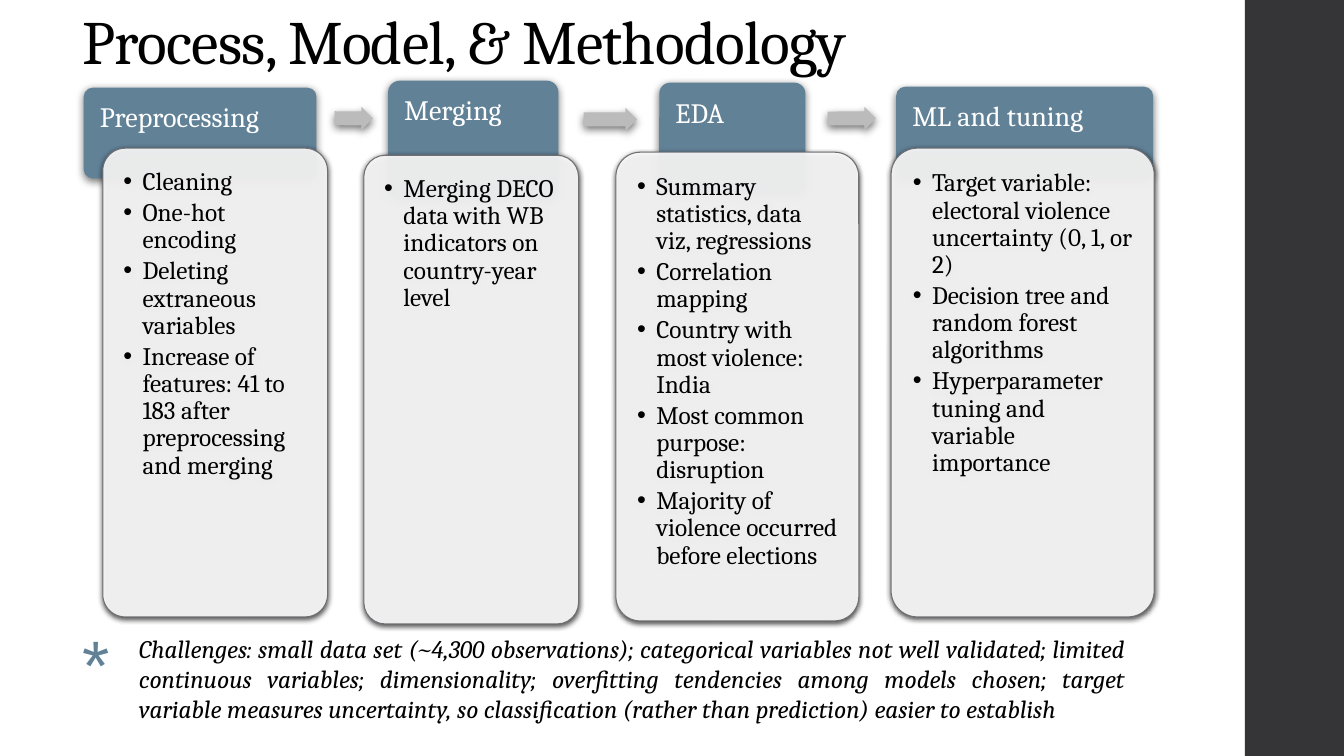
from dataclasses import dataclass

import pptx
import pptx.dml.color
import pptx.enum.shapes
import pptx.enum.text
import pptx.oxml
import pptx.oxml.ns
import pptx.util

SHAPE = pptx.enum.shapes.MSO_SHAPE
ANCHOR = pptx.enum.text.MSO_ANCHOR
ALIGN = pptx.enum.text.PP_ALIGN
GRID_CELL = 0.1  # inches per column and per row
SLIDE_COLUMNS, SLIDE_ROWS = 133.33, 75
BODY_ROWS = 46.5
CORNER = 0.1
CORNER_INSET = 0.29  # share of the corner radius that a rounded shape adds to its insets


@dataclass(frozen=True)
class Theme:
    font: str = "Cambria"
    symbol_font: str = "Arial"
    ink: str = "000000"
    paper: str = "FFFFFF"
    accent: str = "618197"
    arrow: str = "BBBBBC"
    outline: str = "6F6F74"
    band: str = "353537"
    title_size: float = 44
    heading_size: float = 20
    body_size: float = 18
    symbol_size: float = 50


@dataclass(frozen=True)
class Box:
    """Place on the grid, in columns and rows."""
    left: float
    top: float
    width: float
    height: float


@dataclass(frozen=True)
class Shadow:
    opacity: int
    blur: float
    distance: float


@dataclass(frozen=True)
class Stage:
    heading: str
    header: Box
    body: Box
    points: tuple[str, ...]


@dataclass(frozen=True)
class Arrow:
    box: Box
    rotation: float


THEME = Theme()
SOFT_SHADOW = Shadow(55, 6, 2)
CARD_SHADOW = Shadow(75, 4, 1.2)

STAGES = (
    Stage("Preprocessing", Box(8.3, 8.7, 23.1, 9), Box(10.2, 14.7, 22.3, BODY_ROWS),
          ("Cleaning", "One-hot encoding", "Deleting extraneous variables",
           "Increase of features: 41 to 183 after preprocessing and merging")),
    Stage("Merging", Box(38.5, 8, 16.9, 11.7), Box(36.1, 15.4, 21.3, BODY_ROWS),
          ("Merging DECO data with WB indicators on country-year level",)),
    Stage("EDA", Box(65.4, 8.2, 14.5, 10.9), Box(61.1, 15.1, 24.1, BODY_ROWS),
          ("Summary statistics, data viz, regressions", "Correlation mapping",
           "Country with most violence: India", "Most common purpose: disruption",
           "Majority of violence occurred before elections")),
    Stage("ML and tuning", Box(88.9, 8.6, 25.5, 9.1), Box(88.4, 14.7, 26.1, BODY_ROWS),
          ("Target variable: electoral violence uncertainty (0, 1, or 2)",
           "Decision tree and random forest algorithms",
           "Hyperparameter tuning and variable importance")),
)
ARROWS = (
    Arrow(Box(33.2, 10.6, 3.8, 2.3), 0.5),
    Arrow(Box(57.9, 10.7, 5.3, 2.3), 359.9),
    Arrow(Box(82.1, 10.6, 4.8, 2.3), 359.7),
)
CHALLENGES = (
    "Challenges: small data set (~4,300 observations); categorical variables not well "
    "validated; limited continuous variables; dimensionality; overfitting tendencies among "
    "models chosen; target variable measures uncertainty, so classification (rather than "
    "prediction) easier to establish"
)


def grid(cells: float) -> int:
    return pptx.util.Inches(cells * GRID_CELL)


def place(box: Box) -> tuple[int, int, int, int]:
    return grid(box.left), grid(box.top), grid(box.width), grid(box.height)


def color(value: str) -> pptx.dml.color.RGBColor:
    return pptx.dml.color.RGBColor.from_string(value)


def drawing_element(xml: str):
    """Parse one element of the DrawingML namespace."""
    tag, rest = xml[1:].split(" ", 1)
    return pptx.oxml.parse_xml(f"<{tag} {pptx.oxml.ns.nsdecls('a')} {rest}")


def add_shadow(shape, shadow: Shadow) -> None:
    blur, distance = pptx.util.Pt(shadow.blur), pptx.util.Pt(shadow.distance)
    effects = shape._element.spPr.find(pptx.oxml.ns.qn("a:effectLst"))
    effects.append(drawing_element(
        f'<a:outerShdw blurRad="{blur}" dist="{distance}" dir="5400000" algn="ctr" '
        f'rotWithShape="0"><a:srgbClr val="{THEME.ink}">'
        f'<a:alpha val="{shadow.opacity * 1000}"/></a:srgbClr></a:outerShdw>'))


def add_block(slide, kind, box: Box, fill: str, *, line: str | None = None,
              opacity: int = 100, shadow: Shadow | None = None,
              adjustments: tuple[float, ...] = ()):
    shape = slide.shapes.add_shape(kind, *place(box))
    for index, value in enumerate(adjustments):
        shape.adjustments[index] = value
    shape.fill.solid()
    shape.fill.fore_color.rgb = color(fill)
    if opacity < 100:
        fill_color = shape._element.spPr.find(".//" + pptx.oxml.ns.qn("a:srgbClr"))
        fill_color.append(drawing_element(f'<a:alpha val="{opacity * 1000}"/>'))
    if line:
        shape.line.color.rgb = color(line)
        shape.line.width = pptx.util.Pt(0.75)
    else:
        shape.line.fill.background()
    shape.shadow.inherit = False
    if shadow:
        add_shadow(shape, shadow)
    return shape


def write_text(shape, *lines: str, size: float, ink: str = THEME.ink, font: str = THEME.font,
               italic: bool = False, align=ALIGN.LEFT, anchor=ANCHOR.TOP,
               spacing: float = 1.0, after: float = 0, bullet: bool = False,
               tracking: float = 0,
               insets: tuple[float, float, float, float] = (0.1, 0.05, 0.1, 0.05)) -> None:
    """Fill a shape with one paragraph per line; insets are left, top, right, bottom in inches."""
    frame = shape.text_frame
    frame.word_wrap = True
    frame.auto_size = pptx.enum.text.MSO_AUTO_SIZE.NONE
    frame.vertical_anchor = anchor
    (frame.margin_left, frame.margin_top,
     frame.margin_right, frame.margin_bottom) = map(pptx.util.Inches, insets)
    for index, line in enumerate(lines):
        paragraph = frame.add_paragraph() if index else frame.paragraphs[0]
        paragraph.alignment = align
        paragraph.line_spacing = spacing
        paragraph.space_before = pptx.util.Pt(0)
        paragraph.space_after = pptx.util.Pt(after)
        run = paragraph.add_run()
        run.text = line
        run.font.name = font
        run.font.size = pptx.util.Pt(size)
        run.font.italic = italic
        run.font.color.rgb = color(ink)
        if tracking:
            run._r.get_or_add_rPr().set("spc", str(round(tracking * 100)))
        if bullet:
            properties = paragraph._p.get_or_add_pPr()
            indent = pptx.util.Inches(0.19)
            properties.set("marL", str(indent))
            properties.set("indent", str(-indent))
            properties.append(drawing_element(f'<a:buFont typeface="{THEME.symbol_font}"/>'))
            properties.append(drawing_element('<a:buChar char="•"/>'))


def draw_stage(slide, stage: Stage) -> None:
    header = add_block(slide, SHAPE.ROUNDED_RECTANGLE, stage.header, THEME.accent,
                       shadow=SOFT_SHADOW, adjustments=(CORNER,))
    shorter_side = min(stage.header.width, stage.header.height) * GRID_CELL
    inset = 0.16 - CORNER_INSET * CORNER * shorter_side
    write_text(header, stage.heading, size=THEME.heading_size, ink=THEME.paper,
               spacing=0.9, insets=(inset, inset, inset, 0.08))
    body = add_block(slide, SHAPE.ROUNDED_RECTANGLE, stage.body, THEME.paper,
                     line=THEME.outline, opacity=90, shadow=CARD_SHADOW, adjustments=(CORNER,))
    write_text(body, *stage.points, size=THEME.body_size, spacing=0.9,
               after=0.15 * THEME.body_size, bullet=True, insets=(0.14,) * 4)


def main() -> None:
    presentation = pptx.Presentation()
    presentation.slide_width = grid(SLIDE_COLUMNS)
    presentation.slide_height = grid(SLIDE_ROWS)
    slide = presentation.slides.add_slide(presentation.slide_layouts.get_by_name("Title Only"))

    title = slide.shapes.title
    title.left, title.top, title.width, title.height = place(Box(7.2, 0.3, 106, 7.9))
    write_text(title, "Process, Model, & Methodology", size=THEME.title_size,
               anchor=ANCHOR.BOTTOM, spacing=0.9, tracking=-0.5)

    add_block(slide, SHAPE.RECTANGLE, Box(123.5, 0, SLIDE_COLUMNS - 123.5, SLIDE_ROWS), THEME.band)
    for stage in STAGES:
        draw_stage(slide, stage)
    for arrow in ARROWS:
        shape = add_block(slide, SHAPE.RIGHT_ARROW, arrow.box, THEME.arrow,
                          shadow=SOFT_SHADOW, adjustments=(0.6, 0.5))
        shape.rotation = arrow.rotation

    challenges = slide.shapes.add_textbox(*place(Box(12.8, 62.3, 99.8, 12.7)))
    write_text(challenges, CHALLENGES, size=THEME.body_size, italic=True, align=ALIGN.JUSTIFY)
    asterisk = slide.shapes.add_textbox(*place(Box(7.2, 61.1, 4.6, 9.4)))
    write_text(asterisk, "*", size=THEME.symbol_size, ink=THEME.accent, font=THEME.symbol_font)

    presentation.save("out.pptx")


if __name__ == "__main__":
    main()
